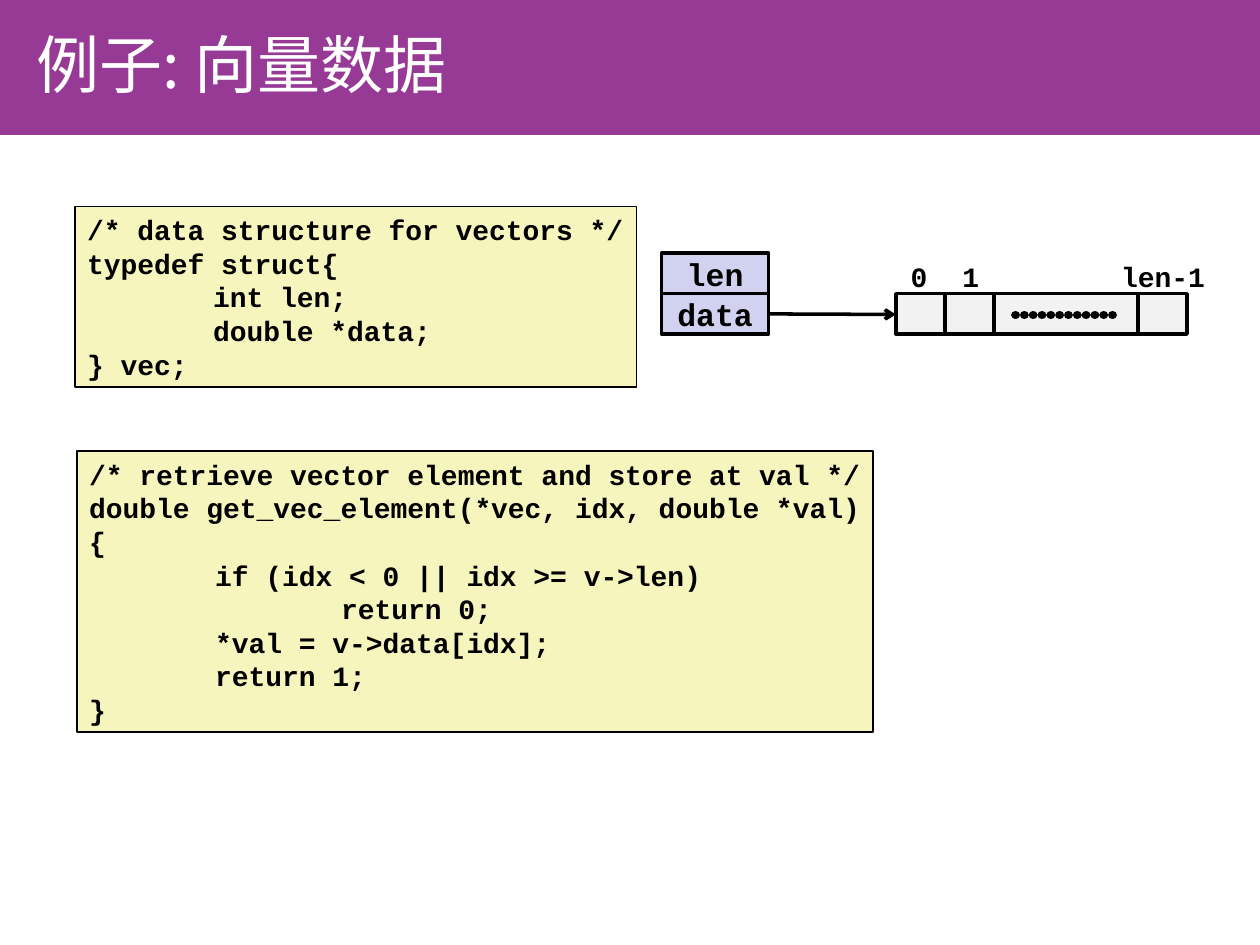
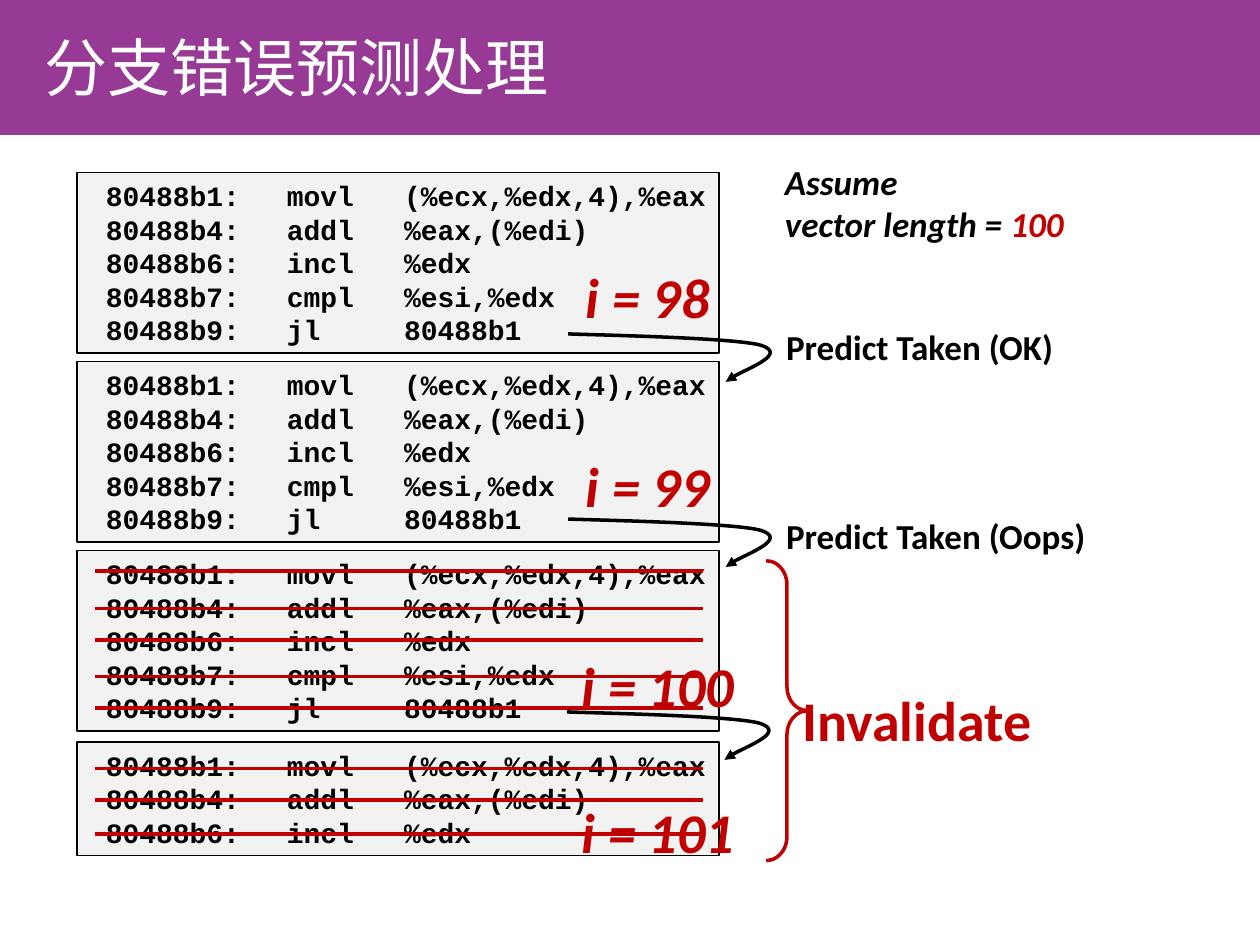
from dataclasses import dataclass
from typing import NamedTuple

from lxml import etree
from pptx import Presentation
from pptx.dml.color import RGBColor
from pptx.enum import shapes, text
from pptx.oxml import ns
from pptx.util import Pt

COLORS = {
    "band": "973A95", "title": "FFFFFF", "ink": "000000", "accent": "C00000",
    "code": "F6F5BD", "field": "D1D1F0", "plain": "F2F2F2",
}
CODE = {"name": "Courier New", "size": Pt(16), "bold": True}
FIELD = CODE | {"size": Pt(18)}
LABEL = {"name": "Calibri", "size": Pt(20), "bold": True}
ASSUME = LABEL | {"italic": True}
SHOUT = LABEL | {"size": Pt(32)}
COUNTER = SHOUT | {"italic": True}
TITLE = {"name": "Noto Sans CJK SC", "size": Pt(36), "bold": False}

VEC_STRUCT = """/* data structure for vectors */
typedef struct{
\tint len;
\tdouble *data;
} vec;"""
GET_ELEMENT = """/* retrieve vector element and store at val */
double get_vec_element(*vec, idx, double *val)
{
\tif (idx < 0 || idx >= v->len)
\t\treturn 0;
\t*val = v->data[idx];
\treturn 1;
}"""
LOOP = """ 80488b1:\tmovl   (%ecx,%edx,4),%eax
 80488b4:\taddl   %eax,(%edi)
 80488b6:\tincl   %edx
 80488b7:\tcmpl   %esi,%edx
 80488b9:\tjl     80488b1"""
INDENT_TABS = (72, 144)
LOOP_TABS = (54, 113)
# Control points of a jump arrow, relative to its start
JUMP = ((18.7, 0.7), (95, 2.2), (110.2, 6.5), (125.3, 11.5), (94.3, 23), (90, 27.4))


class Frame(NamedTuple):
    left: float
    top: float
    width: float
    height: float

    def lengths(self) -> list:
        return [Pt(value) for value in self]


@dataclass
class Label:
    words: str
    frame: Frame
    style: dict
    color: str = "accent"
    align: int = text.PP_ALIGN.LEFT


def rgb(color: str) -> RGBColor:
    return RGBColor.from_string(COLORS[color])


def format_font(font, style: dict, color: str) -> None:
    for key, value in style.items():
        setattr(font, key, value)
    font.color.rgb = rgb(color)


def add_tabs(para, stops) -> None:
    tabs = etree.SubElement(para._p.get_or_add_pPr(), ns.qn("a:tabLst"))
    for stop in stops:
        etree.SubElement(tabs, ns.qn("a:tab"), pos=str(Pt(stop)), algn="l")


def write(box, words: str, style: dict, color: str, align, stops=()) -> None:
    frame = box.text_frame
    frame.word_wrap = False
    for index, line in enumerate(words.split("\n")):
        para = frame.add_paragraph() if index else frame.paragraphs[0]
        para.alignment = align
        if stops:
            add_tabs(para, stops)
        span = para.add_run()
        span.text = line
        format_font(span.font, style, color)


def add_label(page, label: Label):
    box = page.shapes.add_textbox(*label.frame.lengths())
    write(box, label.words, label.style, label.color, label.align)
    box.text_frame.auto_size = text.MSO_AUTO_SIZE.SHAPE_TO_FIT_TEXT
    return box


def add_box(page, frame: Frame, fill: str, width: float = 2):
    box = page.shapes.add_shape(shapes.MSO_SHAPE.RECTANGLE, *frame.lengths())
    box.shadow.inherit = False
    box.fill.solid()
    box.fill.fore_color.rgb = rgb(fill)
    box.line.color.rgb = rgb("ink")
    box.line.width = Pt(width)
    return box


def add_code(page, frame: Frame, words: str, fill: str, stops) -> None:
    box = add_box(page, frame, fill, 1)
    write(box, words, CODE, "ink", text.PP_ALIGN.LEFT, stops)
    box.text_frame.vertical_anchor = text.MSO_ANCHOR.TOP


def add_line(page, start, end, color: str = "ink", width: float = 2):
    line = page.shapes.add_connector(
        shapes.MSO_CONNECTOR.STRAIGHT, *[Pt(value) for value in (*start, *end)])
    line.line.color.rgb = rgb(color)
    line.line.width = Pt(width)
    etree.SubElement(line._element.spPr, ns.qn("a:effectLst"))
    return line


def add_arrowhead(line, kind: str) -> None:
    etree.SubElement(line.line._get_or_add_ln(), ns.qn("a:tailEnd"), type=kind)


def make_dotted(line) -> None:
    """Set round dots that nearly touch."""
    outline = line.line._get_or_add_ln()
    outline.set("cap", "rnd")
    dashes = etree.SubElement(outline, ns.qn("a:custDash"))
    etree.SubElement(dashes, ns.qn("a:ds"), d="100000", sp="1000")


def add_jump(page, left: float, top: float) -> None:
    """Draw a curved arrow, with each three points joined into one cubic curve."""
    builder = page.shapes.build_freeform(Pt(left), Pt(top))
    builder.add_line_segments([(Pt(left + x), Pt(top + y)) for x, y in JUMP], close=False)
    jump = builder.convert_to_shape()
    outline = next(jump._element.iter(ns.qn("a:path")))
    steps = outline.findall(ns.qn("a:lnTo"))
    for first in range(0, len(steps), 3):
        curve = etree.SubElement(outline, ns.qn("a:cubicBezTo"))
        for step in steps[first:first + 3]:
            curve.append(step[0])
            outline.remove(step)
    jump.shadow.inherit = False
    jump.fill.background()
    jump.line.color.rgb = rgb("ink")
    jump.line.width = Pt(2)
    add_arrowhead(jump, "triangle")


def add_page(deck, title: str, frame: Frame):
    page = deck.slides.add_slide(deck.slide_layouts.get_by_name("Title Only"))
    box = page.shapes.title
    box.left, box.top, box.width, box.height = frame.lengths()
    write(box, title, TITLE, "title", text.PP_ALIGN.LEFT)
    box.text_frame.vertical_anchor = text.MSO_ANCHOR.MIDDLE
    props = box.text_frame.paragraphs[0].runs[0].font._element
    etree.SubElement(props, ns.qn("a:ea"), typeface=TITLE["name"])
    return page


def move_band_to_layout(page) -> None:
    band = add_box(page, Frame(0, -0.7, 720, 77.8), "band")
    band.line.fill.background()
    band._element.nvSpPr.cNvPr.set("id", "20")
    page.slide_layout.shapes._spTree.insert(2, band._element)


def build_vector_page(deck) -> None:
    page = add_page(deck, "例子: 向量数据", Frame(13.7, 9.4, 658, 54))
    move_band_to_layout(page)
    add_code(page, Frame(42.7, 118.1, 321.1, 103), VEC_STRUCT, "code", INDENT_TABS)
    add_code(page, Frame(43.9, 257.8, 455, 160.6), GET_ELEMENT, "code", INDENT_TABS)

    top, height = 144.7, 23.1
    for row, name in enumerate(("len", "data")):
        field = add_box(page, Frame(378, top + row * height, 61.2, height), "field")
        write(field, name, FIELD, "ink", text.PP_ALIGN.CENTER)
        field.text_frame.vertical_anchor = text.MSO_ANCHOR.MIDDLE

    left = 511.9
    for width in (28.1, 28.1, 82.1, 28.1):
        add_box(page, Frame(left, top + height, width, height), "plain")
        left += width
    for words, center, width in (("0", 525.2, 25), ("1", 554.8, 25), ("len-1", 664.6, 65)):
        add_label(page, Label(words, Frame(center - width / 2, top, width, 26.6),
                              CODE, "ink", text.PP_ALIGN.CENTER))

    add_arrowhead(add_line(page, (439.2, 179.4), (511.9, 179.7)), "arrow")
    make_dotted(add_line(page, (580.3, 180), (637.9, 180), width=5))


def build_branch_page(deck) -> None:
    page = add_page(deck, "分支错误预测处理", Frame(18, 15.1, 625.7, 45.4))
    short_loop = "\n".join(LOOP.split("\n")[:3])
    for top, height, words in ((98.6, 103, LOOP), (206.6, 103, LOOP),
                               (314.6, 103, LOOP), (424.1, 64.8, short_loop)):
        add_code(page, Frame(43.9, top, 366.8, height), words, "plain", LOOP_TABS)

    for label in (
        Label("i = 98", Frame(327.6, 146.2, 85, 46), COUNTER),
        Label("i = 99", Frame(327.6, 254.2, 85, 46), COUNTER),
        Label("i = 100", Frame(325.4, 368.6, 101.5, 46), COUNTER),
        Label("i = 101", Frame(325.4, 452.2, 101.5, 46), COUNTER),
        Label("Predict Taken (OK)", Frame(442.1, 182.2, 169.2, 31.7), LABEL, "ink"),
        Label("Predict Taken (Oops)", Frame(442.1, 290.2, 187.9, 31.7), LABEL, "ink"),
        Label("Invalidate", Frame(451.4, 388.1, 146.9, 46), SHOUT),
    ):
        add_label(page, label)

    for left, top in ((324.7, 190.8), (324.7, 296.6), (324, 406.8)):
        add_jump(page, left, top)
    for y in (326.2, 347.8, 365.8, 386.6, 404.6, 439.2, 457.2, 476.6):
        add_line(page, (54, y), (401.8, y), "accent")

    brace = page.shapes.add_shape(
        shapes.MSO_SHAPE.RIGHT_BRACE, *Frame(437.8, 320.4, 23.8, 171.4).lengths())
    brace.shadow.inherit = False
    brace.fill.background()
    brace.line.color.rgb = rgb("accent")
    brace.line.width = Pt(2)
    brace.adjustments[0] = 0.58

    assume = add_label(page, Label("Assume\nvector length = ", Frame(441.4, 88.3, 173.5, 55.4),
                                   ASSUME, "ink"))
    span = assume.text_frame.paragraphs[-1].add_run()
    span.text = "100"
    format_font(span.font, ASSUME, "accent")


def main() -> None:
    deck = Presentation()
    deck.slide_width, deck.slide_height = Pt(720), Pt(540)
    build_vector_page(deck)
    build_branch_page(deck)
    deck.save("out.pptx")


if __name__ == "__main__":
    main()
